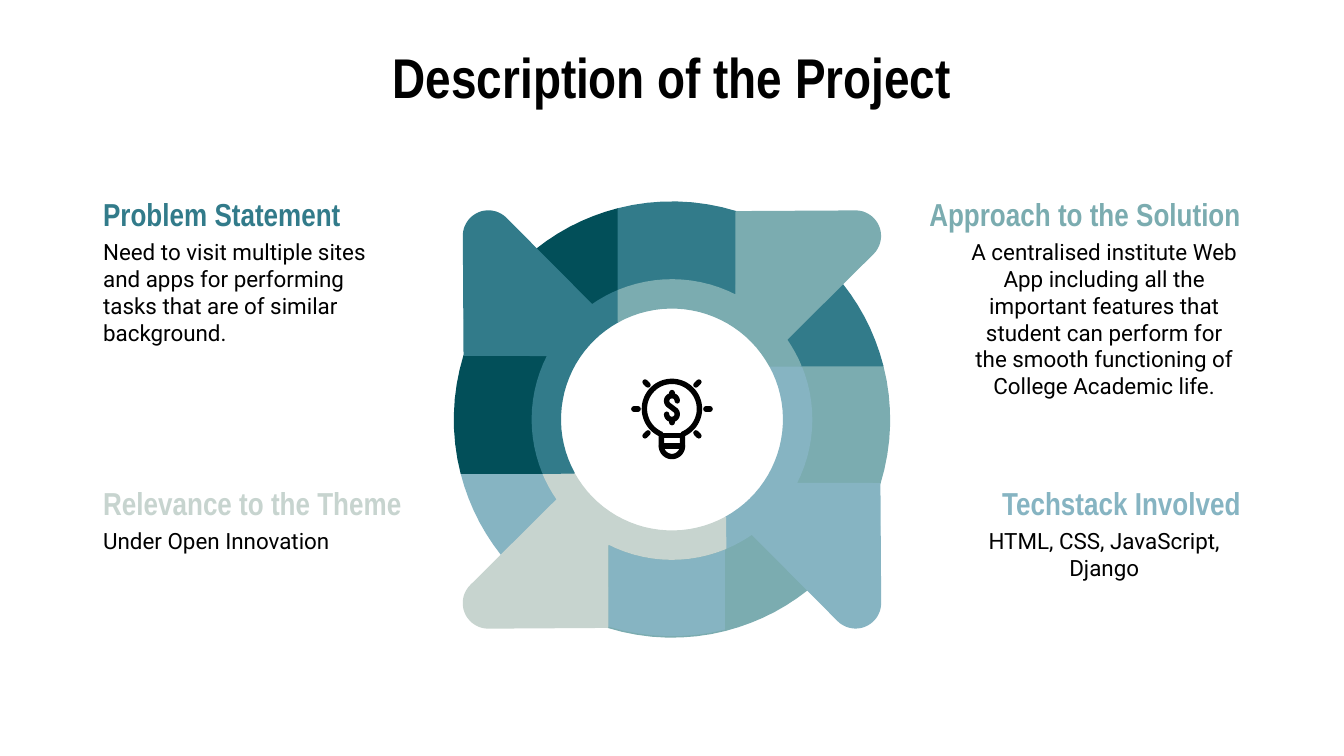
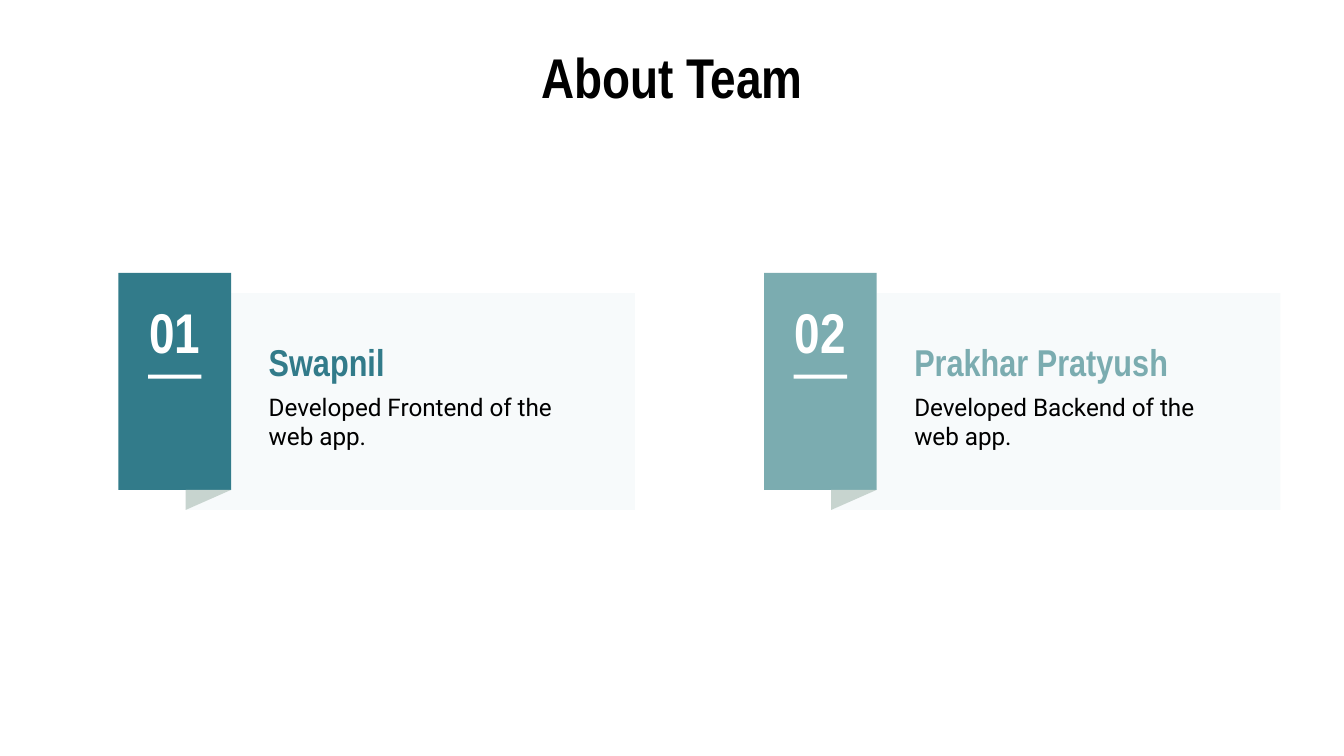
"""Build a two-slide project deck: a four-arrow cycle and the team cards."""
import dataclasses
import math

import lxml.etree
import pptx
import pptx.dml.color
import pptx.enum.shapes
import pptx.enum.text
import pptx.oxml.ns
import pptx.util

Cm = pptx.util.Cm
Pt = pptx.util.Pt
qn = pptx.oxml.ns.qn
LEFT = pptx.enum.text.PP_ALIGN.LEFT
CENTER = pptx.enum.text.PP_ALIGN.CENTER
RIGHT = pptx.enum.text.PP_ALIGN.RIGHT


@dataclasses.dataclass(frozen=True)
class Theme:
    ink: str = "000000"
    paper: str = "FFFFFF"
    deep: str = "024F59"
    teal: str = "327B8A"
    sage: str = "7BACB0"
    sky: str = "86B4C2"
    mist: str = "C7D4CF"
    panel: str = "F7FAFB"
    heading_font: str = "Arial Narrow"
    body_font: str = "Roboto"
    title_size: float = 30
    name_size: float = 20
    heading_size: float = 17
    role_size: float = 13
    body_size: float = 12
    edge: float = 0.75
    stroke: float = 2.9


def rgb(code):
    return pptx.dml.color.RGBColor.from_string(code)


def arc(radius, start, end, x=0, y=0):
    steps = max(2, math.ceil(abs(end - start) / 4))
    angles = [math.radians(start + (end - start) * i / steps) for i in range(steps + 1)]
    return [(x + radius * math.cos(a), y + radius * math.sin(a)) for a in angles]


def place(points, origin, quarters=0):
    for _ in range(quarters):
        points = [(-y, x) for x, y in points]
    return [(origin[0] + x, origin[1] + y) for x, y in points]


class Deck:
    def __init__(self, theme):
        self.theme = theme
        self.show = pptx.Presentation()
        self.show.slide_width = Cm(25.4)
        self.show.slide_height = Cm(14.29)
        self.slide = None

    def new_slide(self, title):
        self.slide = self.show.slides.add_slide(self.show.slide_layouts[6])
        background = self.slide.background.fill
        background.solid()
        background.fore_color.rgb = rgb(self.theme.paper)
        self.heading(title, (6.43, 0.56, 12.55, 1.73), self.theme.title_size,
                     self.theme.ink, CENTER)

    def text(self, words, box, size, color, align, font, bold=False):
        frame = self.slide.shapes.add_textbox(*map(Cm, box)).text_frame
        frame.word_wrap = True
        frame.margin_left = frame.margin_right = Cm(0.25)
        frame.margin_top = frame.margin_bottom = Cm(0.25)
        paragraph = frame.paragraphs[0]
        paragraph.alignment = align
        run = paragraph.add_run()
        run.text = words
        run.font.name = font
        run.font.size = Pt(size)
        run.font.bold = bold
        run.font.color.rgb = rgb(color)

    def heading(self, words, box, size, color, align=LEFT):
        self.text(words, box, size, color, align, self.theme.heading_font, True)

    def body(self, words, box, size, align=LEFT):
        self.text(words, box, size, self.theme.ink, align, self.theme.body_font)

    def paint(self, shape, fill, edge=None):
        shape.shadow.inherit = False
        shape.fill.solid()
        shape.fill.fore_color.rgb = rgb(fill)
        if edge:
            shape.line.color.rgb = rgb(edge)
            shape.line.width = Pt(self.theme.edge)
        else:
            shape.line.fill.background()

    def block(self, box, fill):
        kind = pptx.enum.shapes.MSO_SHAPE.RECTANGLE
        self.paint(self.slide.shapes.add_shape(kind, *map(Cm, box)), fill)

    def outline(self, points, close=True):
        corners = [(Cm(x), Cm(y)) for x, y in points]
        builder = self.slide.shapes.build_freeform(*corners[0], scale=1.0)
        builder.add_line_segments(corners[1:], close=close)
        return builder.convert_to_shape()

    def area(self, points, fill, edge=None):
        self.paint(self.outline(points), fill, edge)

    def pen(self, line, element):
        line.color.rgb = rgb(self.theme.ink)
        line.width = Pt(self.theme.stroke)
        element.spPr.find(qn("a:ln")).set("cap", "rnd")

    def curve(self, points, close=False):
        shape = self.outline(points, close)
        shape.shadow.inherit = False
        shape.fill.background()
        self.pen(shape.line, shape.element)

    def stroke(self, start, end):
        kind = pptx.enum.shapes.MSO_CONNECTOR.STRAIGHT
        connector = self.slide.shapes.add_connector(kind, *map(Cm, (*start, *end)))
        self.pen(connector.line, connector.element)
        lxml.etree.SubElement(connector.element.spPr, qn("a:effectLst"))

    def cycle_arrow(self, origin, quarters, color, band_color, band_edge):
        outer, middle, inner = 4.11, 2.64, 2.11
        wing = arc(outer, 255.7, 231.5) + arc(middle, 235.1, 247.4)
        band = arc(outer, 197.2, 165.7) + arc(middle, 157.4, 207.3)
        arrow = (arc(0.47, 180, 315, -3.47, -3.47) + arc(middle, 235.1, 247.4)
                 + arc(inner, 241.3, 151.3) + arc(middle, 157.4, 207.3)
                 + arc(outer, 197.2, 197.2)[:1])
        self.area(place(wing, origin, quarters), band_color, band_color)
        self.area(place(band, origin, quarters), band_color, band_edge)
        self.area(place(arrow, origin, quarters), color, color)

    def idea_bulb(self, origin):
        glass = arc(0.52, 112.6, 427.4) + arc(0.2, 0, 180, 0, 0.7)
        dollar = arc(0.1, 360, 120, 0, -0.15) + arc(0.1, -60, 180, 0, 0.1)
        self.curve(place(glass, origin), close=True)
        self.curve(place(dollar, origin))
        rays = [(arc(0.64, a, a)[0], arc(0.72, a, a)[0])
                for a in (0, 45, 135, 180, 225, 315)]
        rungs = [((-0.2, y), (0.2, y)) for y in (0.5, 0.7)]
        stems = [((0, -0.31), (0, -0.25)), ((0, 0.2), (0, 0.26))]
        for ends in rays + rungs + stems:
            self.stroke(*place(ends, origin))

    def topic(self, title, words, left, right, top, width, color, on_right):
        body_width, title_height = 5.66, 0.81
        title_left = right - width if on_right else left
        body_left = right - body_width if on_right else left
        self.heading(title, (title_left, top, width, title_height),
                     self.theme.heading_size, color, RIGHT if on_right else LEFT)
        self.body(words, (body_left, top + title_height, body_width, 1.93),
                  self.theme.body_size, CENTER if on_right else LEFT)

    def member_card(self, left, number, name, role, color):
        top, tab_width, tab_height, drop = 5.16, 2.13, 4.1, 0.38
        tab_right, tab_bottom = left + tab_width, top + tab_height
        fold_left, right = left + 1.27, left + 9.76
        bottom = tab_bottom + drop
        self.area([(tab_right, top + drop), (tab_right, tab_bottom),
                   (fold_left, bottom), (right, bottom), (right, top + drop)],
                  self.theme.panel)
        self.block((left, top, tab_width, tab_height), color)
        self.area([(fold_left, tab_bottom), (fold_left, bottom),
                   (tab_right, tab_bottom)], self.theme.mist)
        self.heading(number, (left, 5.37, tab_width, 2.11),
                     self.theme.title_size, self.theme.paper, CENTER)
        self.block((left + 0.56, 7.08, 1.01, 0.08), self.theme.paper)
        self.heading(name, (left + 2.59, 6.16, 6.73, 1.17),
                     self.theme.name_size, color)
        self.body(role, (left + 2.59, 7.16, 6.73, 1.63), self.theme.role_size)


theme = Theme()
deck = Deck(theme)

deck.new_slide("Description of the Project")
hub = (12.7, 7.93)
for quarters, color, band_color, band_edge in (
    (2, theme.sky, theme.sage, theme.sage),
    (3, theme.mist, theme.sky, theme.sage),
    (0, theme.teal, theme.deep, theme.deep),
    (1, theme.sage, theme.teal, theme.teal),
):
    deck.cycle_arrow(hub, quarters, color, band_color, band_edge)
deck.idea_bulb((hub[0], hub[1] - 0.2))

upper, lower = 3.44, 8.9
for title, words, top, width, color, on_right in (
    ("Problem Statement",
     "Need to visit multiple sites and apps for performing tasks that are of "
     "similar background.", upper, 6.3, theme.teal, False),
    ("Approach to the Solution",
     "A centralised institute Web App including all the important features that "
     "student can perform for the smooth functioning of College Academic life.",
     upper, 7.52, theme.sage, True),
    ("Relevance to the Theme", "Under Open Innovation",
     lower, 6.48, theme.mist, False),
    ("Techstack Involved", "HTML, CSS, JavaScript, Django",
     lower, 5.1, theme.sky, True),
):
    deck.topic(title, words, 1.7, 23.7, top, width, color, on_right)

deck.new_slide("About Team")
members = (
    ("Swapnil", "Developed Frontend of the web app.", theme.teal),
    ("Prakhar Pratyush", "Developed Backend of the web app.", theme.sage),
)
for index, (name, role, color) in enumerate(members):
    deck.member_card(2.24 + 12.2 * index, f"{index + 1:02d}", name, role, color)

deck.show.save("out.pptx")
